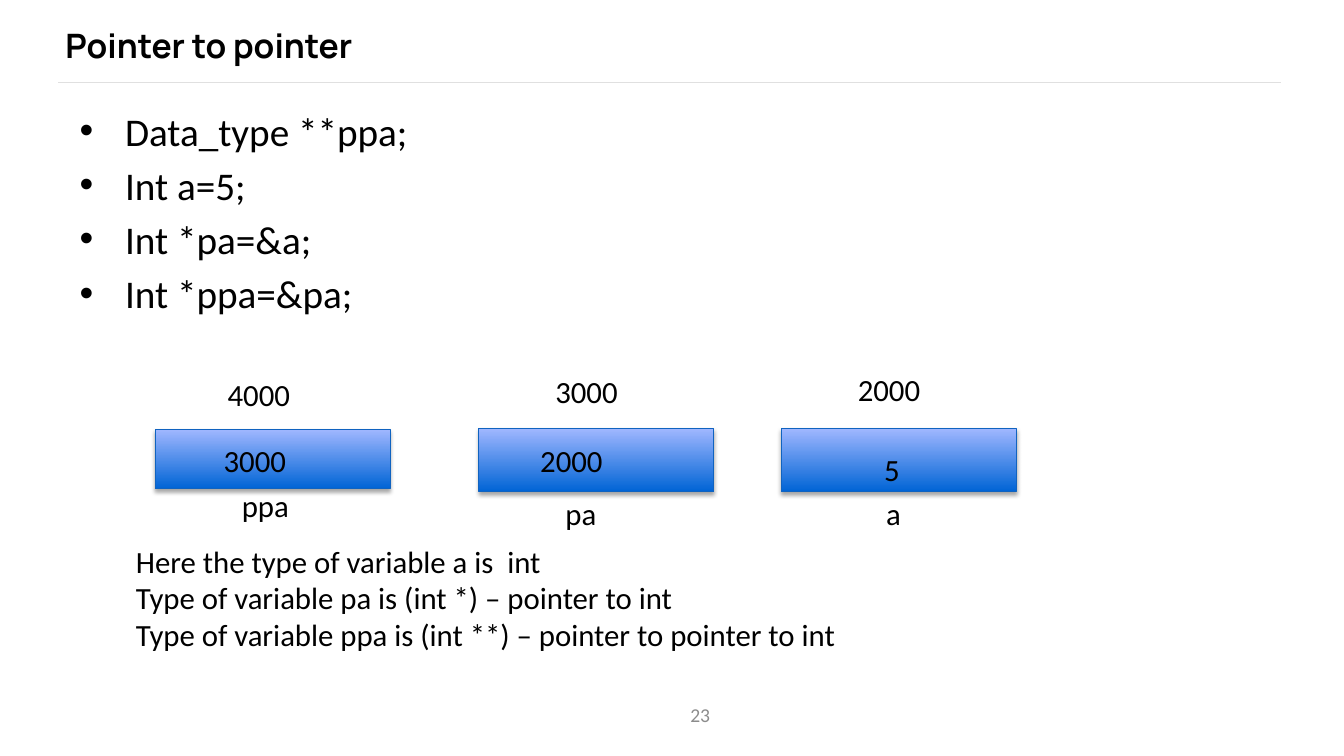
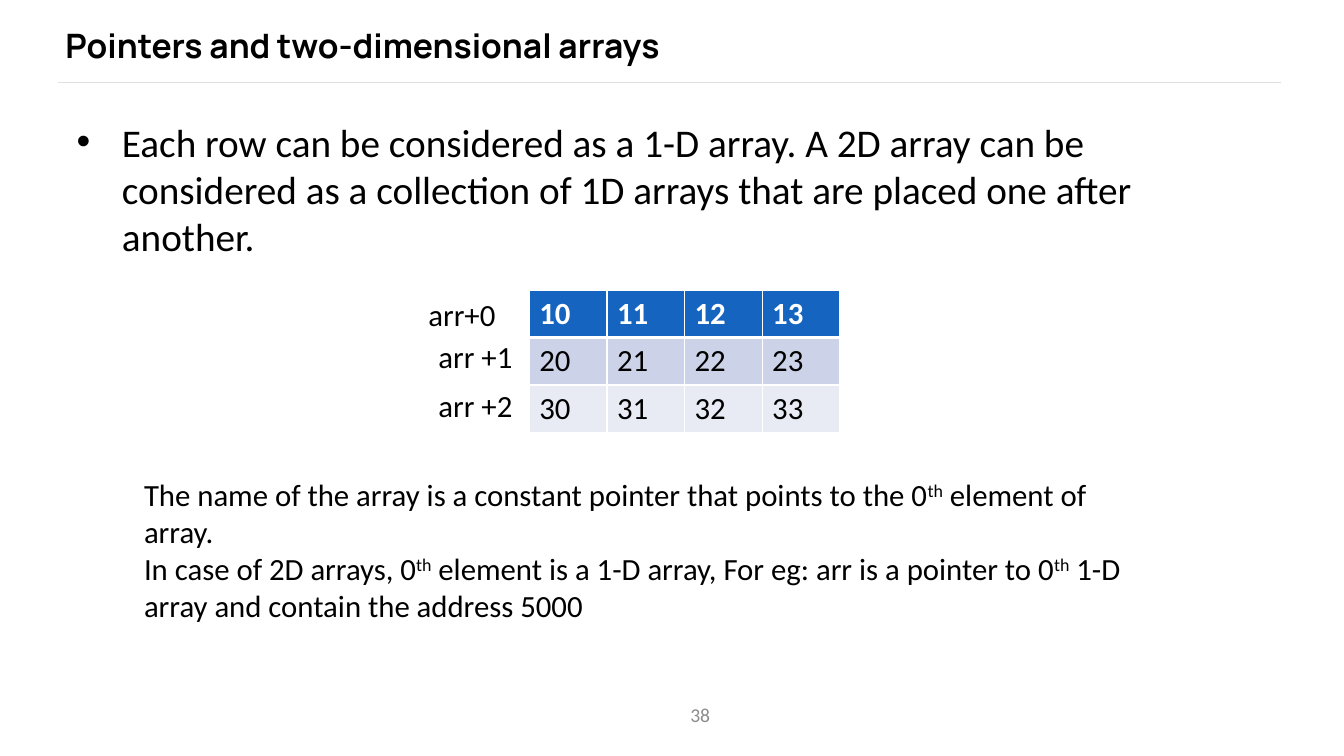
"""Build two slides on pointers to pointers and two-dimensional arrays."""
from lxml.etree import SubElement as Sub
from pptx import Presentation
from pptx.dml.color import RGBColor as RGB
from pptx.enum.shapes import MSO_CONNECTOR as CONN, MSO_SHAPE as SHAPE
from pptx.enum.text import MSO_ANCHOR as ANCHOR, PP_ALIGN as ALIGN
from pptx.oxml.ns import qn
from pptx.util import Pt

PX = 9144
BLACK = RGB(0, 0, 0)
WHITE = RGB(255, 255, 255)
GREY = RGB(0x8C, 0x8C, 0x8C)
RULE = RGB(0xE0, 0xE0, 0xE0)
EDGE = RGB(0x10, 0x63, 0xC0)
DEEP = RGB(0x00, 0x64, 0xD5)
PALE = RGB(0xA0, 0xB7, 0xFF)
BANDS = [RGB(0x15, 0x65, 0xC0), RGB(0xCC, 0xD3, 0xE8), RGB(0xE8, 0xEA, 0xF4)]

CODE = ["Data_type **ppa;", "Int a=5;", "Int *pa=&a;", "Int *ppa=&pa;"]
CELLS = [(154, 426, 59), (475, 425, 63), (775, 425, 63)]
LABELS = [
    ("4000", 216, 368), ("3000", 212, 433), ("ppa", 230, 478),
    ("3000", 541, 365), ("2000", 526, 433), ("pa", 551, 486),
    ("2000", 841, 363), ("5", 867, 442), ("a", 869, 486),
]
TYPES = [
    "Here the type of variable a is  int",
    "Type of variable pa is (int *) – pointer to int",
    "Type of variable ppa is (int **) – pointer to pointer to int",
]

ROWS_INTRO = [
    "Each row can be considered as a 1-D array. A 2D array can be considered "
    "as a collection of 1D arrays that are placed one after another."
]
GRID = [[10, 11, 12, 13], [20, 21, 22, 23], [30, 31, 32, 33]]
ROWS = [("arr+0", 415, 288), ("arr +1", 425, 330), ("arr +2", 425, 379)]
NOTES = [
    "The name of the array is a constant pointer that points to the "
    "0^th^ element of array.",
    "In case of 2D arrays, 0^th^ element is a 1-D array, For eg: arr is a "
    "pointer to 0^th^ 1-D array and contain the address 5000",
]


def style(font, size, color, name="Calibri", bold=False):
    font.name, font.size, font.bold = name, Pt(size), bold
    font.color.rgb = color


def write(para, line):
    for i, part in enumerate(line.split("^")):
        run = para.add_run()
        run.text = part
        if i % 2:
            run.font._element.set("baseline", "30000")


def bullet(para):
    props = para._p.get_or_add_pPr()
    props.set("marL", str(45 * PX))
    props.set("indent", str(-45 * PX))
    Sub(props, qn("a:buFont")).set("typeface", "Arial")
    Sub(props, qn("a:buChar")).set("char", "•")


def put(slide, spot, lines, size=22, color=BLACK, pad=(10, 5), mid=False,
        align=ALIGN.LEFT, dots=False, **look):
    box = slide.shapes.add_textbox(*(n * PX for n in spot))
    frame = box.text_frame
    frame.word_wrap = True
    frame.margin_left = frame.margin_right = pad[0] * PX
    frame.margin_top = frame.margin_bottom = pad[1] * PX
    frame.vertical_anchor = ANCHOR.MIDDLE if mid else ANCHOR.TOP
    for i, line in enumerate(lines):
        para = frame.add_paragraph() if i else frame.paragraphs[0]
        para.alignment = align
        if dots:
            if i:
                para.space_before = Pt(5)
            bullet(para)
        style(para.font, size, color, **look)
        write(para, line)


def start(deck, title, number):
    slide = deck.slides.add_slide(deck.slide_layouts[6])
    rule = slide.shapes.add_connector(
        CONN.STRAIGHT, 58 * PX, 82 * PX, 1271 * PX, 82 * PX)
    rule.line.color.rgb, rule.line.width = RULE, Pt(0.75)
    Sub(rule._element.spPr, qn("a:effectLst"))
    put(slide, (65, 19, 1026, 52), [title], 24, pad=(0, 0), mid=True,
        name="Manrope", bold=True)
    put(slide, (539, 689, 311, 40), [number], 14, GREY, (12, 6), True,
        ALIGN.CENTER)
    return slide


def tags(slide, items):
    for text, x, y in items:
        put(slide, (x, y, 110, 47), [text])


def cell_box(slide, x, y, high):
    box = slide.shapes.add_shape(
        SHAPE.RECTANGLE, x * PX, y * PX, 233 * PX, high * PX)
    box.shadow.inherit = False
    box.fill.gradient()
    box.fill.gradient_angle = 90
    for stop, color in zip(box.fill.gradient_stops, (DEEP, PALE)):
        stop.color.rgb = color
    box.line.color.rgb, box.line.width = EDGE, Pt(0.75)
    shade = Sub(box._element.spPr.find(qn("a:effectLst")),
                qn("a:outerShdw"), blurRad=str(Pt(3.1)), dist=str(Pt(1.8)),
                dir="5400000", rotWithShape="0")
    tint = Sub(shade, qn("a:srgbClr"), val=str(BLACK))
    Sub(tint, qn("a:alpha"), val="35000")


def border(cell, row):
    props = cell._tc.get_or_add_tcPr()
    for side in "LRTB":
        thick = (row, side) in ((0, "B"), (1, "T"))
        line = Sub(props, qn("a:ln" + side), w=str(Pt(3 if thick else 1)))
        Sub(Sub(line, qn("a:solidFill")), qn("a:srgbClr"), val=str(WHITE))


def grid(slide, x, y, wide, high):
    table = slide.shapes.add_table(
        len(GRID), len(GRID[0]), x * PX, y * PX,
        wide * len(GRID[0]) * PX, high * len(GRID) * PX).table
    for col in table.columns:
        col.width = wide * PX
    for r, nums in enumerate(GRID):
        table.rows[r].height = high * PX
        for c, num in enumerate(nums):
            cell = table.cell(r, c)
            border(cell, r)
            cell.fill.solid()
            cell.fill.fore_color.rgb = BANDS[r]
            para = cell.text_frame.paragraphs[0]
            style(para.font, 22, BLACK if r else WHITE, bold=not r)
            write(para, str(num))


def main():
    deck = Presentation()
    deck.slide_width, deck.slide_height = 1333 * PX, 750 * PX

    slide = start(deck, "Pointer to pointer", "23")
    put(slide, (67, 100, 1200, 240), CODE, 28, pad=(12, 6), dots=True)
    for spot in CELLS:
        cell_box(slide, *spot)
    tags(slide, LABELS)
    put(slide, (125, 533, 800, 158), TYPES)

    slide = start(deck, "Pointers and two-dimensional arrays", "38")
    put(slide, (64, 111, 1200, 160), ROWS_INTRO, 28, pad=(12, 6), dots=True)
    grid(slide, 525, 288, 77, 47)
    tags(slide, ROWS)
    put(slide, (133, 467, 1008, 158), NOTES)

    deck.save("out.pptx")


if __name__ == "__main__":
    main()
